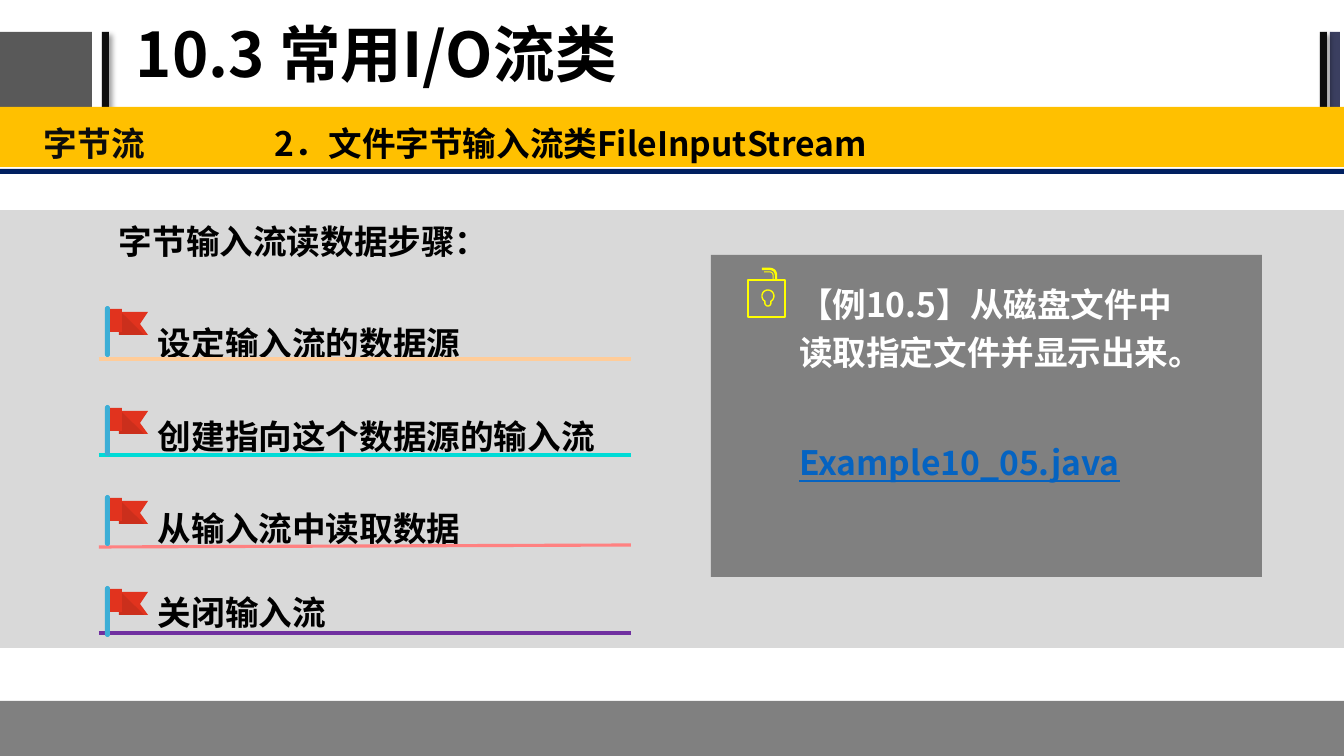
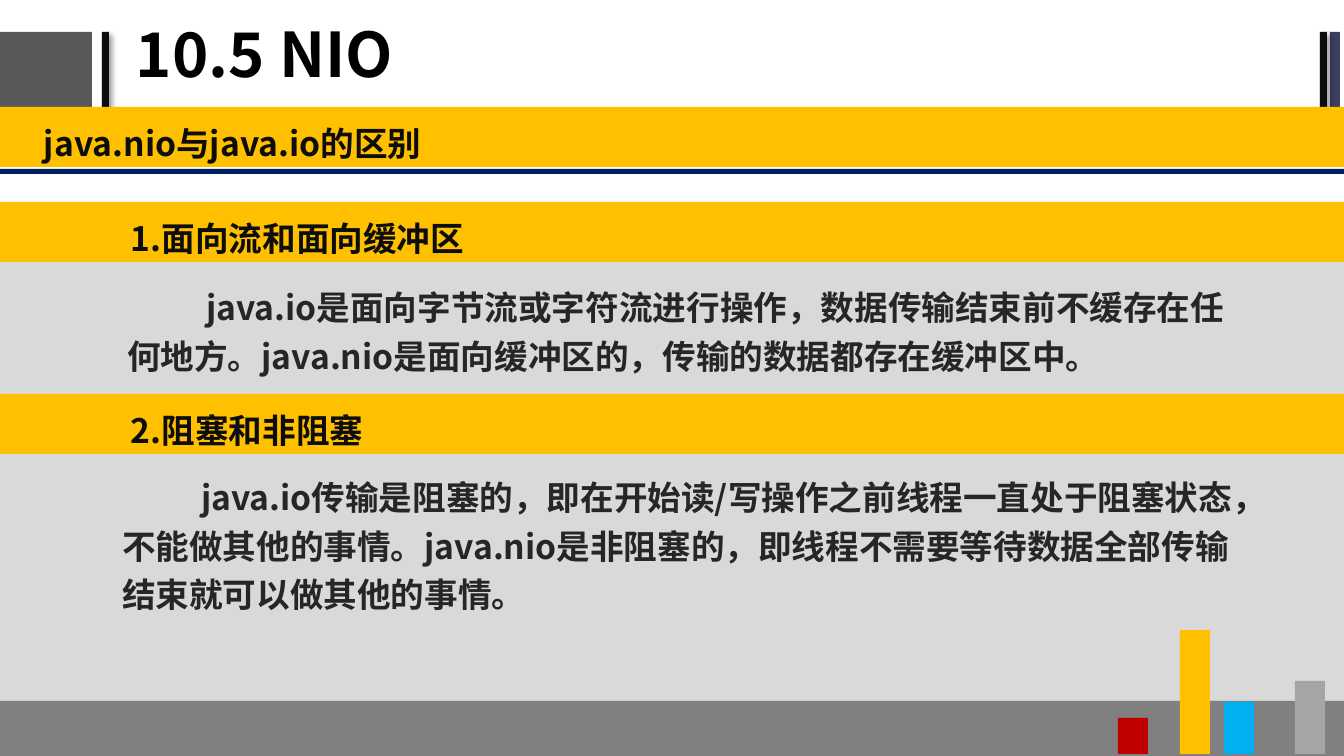
from math import cos, radians, sin

from lxml.etree import SubElement
from pptx import Presentation
from pptx.dml.color import RGBColor
from pptx.enum.shapes import MSO_CONNECTOR, MSO_SHAPE
from pptx.enum.text import MSO_ANCHOR
from pptx.oxml.ns import qn
from pptx.util import Pt

PAGE_WIDTH, PAGE_HEIGHT = 1344, 756
SCALE = 12192000 / PAGE_WIDTH
FINE = 10
FONT = "Noto Sans CJK SC"
COLORS = {
    "black": "000000",
    "ink": "0D0D0D",
    "body": "262626",
    "white": "FFFFFF",
    "block": "595959",
    "slate": "3B3F60",
    "panel": "D9D9D9",
    "footer": "808080",
    "amber": "FFC000",
    "navy": "002060",
    "link": "0563C1",
    "yellow": "FFFF00",
    "flag": "E1331E",
    "fold": "CB2F1C",
    "pole": "3CAED6",
    "peach": "FFCC99",
    "teal": "00DBD6",
    "pink": "FF8181",
    "purple": "7030A0",
    "silver": "A5A5A5",
    "sky": "00B0F0",
    "red": "C00000",
}
WIDE_INSETS = (13, 7)
NORMAL_INSETS = (10, 5)


def px(length):
    return round(length * SCALE)


def rgb(name):
    return RGBColor.from_string(COLORS[name])


def paint(shape, fill=None, line=None, width=1):
    shape.shadow.inherit = False
    if fill:
        shape.fill.solid()
        shape.fill.fore_color.rgb = rgb(fill)
    else:
        shape.fill.background()
    if line:
        shape.line.color.rgb = rgb(line)
        shape.line.width = Pt(width)
    else:
        shape.line.fill.background()


def add_block(page, left, top, width, height, fill=None, line=None,
              line_width=1, kind=MSO_SHAPE.RECTANGLE):
    block = page.shapes.add_shape(kind, px(left), px(top), px(width), px(height))
    paint(block, fill, line, line_width)
    return block


def add_shadow(shape):
    effects = shape._element.spPr.find(qn("a:effectLst"))
    shadow = SubElement(effects, qn("a:outerShdw"), blurRad=str(Pt(4)),
                        dist=str(Pt(3)), dir="2700000", algn="tl", rotWithShape="0")
    color = SubElement(shadow, qn("a:srgbClr"), val=COLORS["black"])
    SubElement(color, qn("a:alpha"), val="40000")


def add_outline(page, points, fill=None, line=None, width=1, close=True):
    fine_points = [(x * FINE, y * FINE) for x, y in points]
    builder = page.shapes.build_freeform(*fine_points[0], scale=SCALE / FINE)
    builder.add_line_segments(fine_points[1:], close=close)
    paint(builder.convert_to_shape(), fill, line, width)


def add_rule(page, start, end, color):
    rule = page.shapes.add_connector(MSO_CONNECTOR.STRAIGHT, *map(px, start + end))
    rule.line.color.rgb = rgb(color)
    rule.line.width = Pt(2.25)
    SubElement(rule._element.spPr, qn("a:effectLst"))


def add_box(page, left, top, width, height, insets=WIDE_INSETS, anchor=MSO_ANCHOR.TOP):
    box = page.shapes.add_textbox(px(left), px(top), px(width), px(height))
    frame = box.text_frame
    frame.word_wrap = True
    frame.vertical_anchor = anchor
    frame.margin_left = frame.margin_right = px(insets[0])
    frame.margin_top = frame.margin_bottom = px(insets[1])
    return frame


def format_para(para, spacing=1.2, before=0, indent=0, tab=0):
    properties = para._p.get_or_add_pPr()
    if indent:
        properties.set("indent", str(px(indent)))
    if tab:
        stops = SubElement(properties, qn("a:tabLst"))
        SubElement(stops, qn("a:tab"), pos=str(px(tab)), algn="l")
    para.line_spacing = spacing
    para.space_before = Pt(before)


def add_span(para, text, color, size=24, underline=False):
    span = para.add_run()
    span.text = text
    font = span.font
    font.name = FONT
    font.size = Pt(size)
    font.bold = True
    font.color.rgb = rgb(color)
    if underline:
        font.underline = True
    SubElement(span._r.get_or_add_rPr(), qn("a:ea"), typeface=FONT)


def add_text(page, place, text, color, size=24, spacing=1.2, indent=0,
             insets=WIDE_INSETS, anchor=MSO_ANCHOR.TOP):
    para = add_box(page, *place, insets, anchor).paragraphs[0]
    format_para(para, spacing, indent=indent)
    add_span(para, text, color, size)
    return para


def add_band(page, top, text_left, text):
    add_block(page, 0, top, PAGE_WIDTH, 60, "amber")
    return add_text(page, (text_left, top + 1, PAGE_WIDTH - text_left, 58), text, "ink")


def add_page(deck, title, panel_bottom):
    page = deck.slides.add_slide(deck.slide_layouts[6])
    add_block(page, 0, 32, 92, 76, "block")
    add_shadow(add_block(page, 102, 32, 7, 76, "ink"))
    add_block(page, 1330, 32, 10, 76, "slate")
    add_shadow(add_block(page, 1320, 32, 7, 76, "ink"))
    add_block(page, 0, 210, PAGE_WIDTH, panel_bottom - 210, "panel")
    add_text(page, (126, 2, 854, 111), title, "black", 44, 0.9,
             insets=NORMAL_INSETS, anchor=MSO_ANCHOR.MIDDLE)
    add_block(page, 0, 701, PAGE_WIDTH, PAGE_HEIGHT - 701, "footer")
    add_block(page, 0, 169, PAGE_WIDTH, 5, "navy")
    return page


def add_flag(page, top):
    add_outline(page, [(119, top + 6), (148, top + 6), (140, top + 18),
                       (148, top + 29), (119, top + 29)], "flag")
    add_outline(page, [(122, top + 7), (119, top + 7), (119, top + 29),
                       (144, top + 29)], "fold")
    add_block(page, 110, top + 3, 12, 23, "flag")
    pole = add_block(page, 105, top, 5, 51, "pole", kind=MSO_SHAPE.ROUNDED_RECTANGLE)
    pole.adjustments[0] = 0.5


def arc(center_x, center_y, radius, start, end):
    return [(center_x + radius * cos(radians(angle)),
             center_y + radius * sin(radians(angle)))
            for angle in range(start, end + 1, 10)]


def add_bulb_icon(page):
    add_block(page, 748, 280, 37, 37, line="yellow", line_width=1.75)
    for left, radius, width in ((762, 6, 1.75), (764, 3, 0.75)):
        curve = arc(770, 275, radius, 270, 360)
        add_outline(page, [(left, 275 - radius)] + curve + [(770 + radius, 279)],
                    line="yellow", width=width, close=False)
    add_outline(page, arc(768, 296, 6, 120, 420) + arc(768, 303, 3, 0, 180),
                line="yellow")


def add_steps(page):
    steps = (
        ("设定输入流的数据源", 306, 306, 359, 359, "peach"),
        ("创建指向这个数据源的输入流", 399, 405, 455, 455, "teal"),
        ("从输入流中读取数据", 491, 495, 547, 545, "pink"),
        ("关闭输入流", 575, 586, 633, 633, "purple"),
    )
    for text, text_top, flag_top, rule_start, rule_end, color in steps:
        add_text(page, (148, text_top, 483, 55), text, "black", spacing=1.3,
                 insets=NORMAL_INSETS)
        add_rule(page, (99, rule_start), (631, rule_end), color)
        add_flag(page, flag_top)


def add_example(page):
    add_block(page, 711, 255, 551, 322, "footer")
    frame = add_box(page, 786, 269, 430, 277)
    task = frame.paragraphs[0]
    format_para(task)
    add_span(task, "【例10.5】从磁盘文件中读取指定文件并显示出来。", "white")
    file_name = frame.add_paragraph()
    format_para(file_name, before=44)
    add_span(file_name, "Example10_05.java", "link", underline=True)
    add_bulb_icon(page)


def build_stream_page(deck):
    page = add_page(deck, "10.3 常用I/O流类", 648)
    heading = add_band(page, 107, 31, "字节流")
    format_para(heading, tab=231)
    add_span(heading, "\t2．文件字节输入流类FileInputStream", "black")
    add_text(page, (106, 214, 1075, 54), "字节输入流读数据步骤：", "black", spacing=1.0)
    add_steps(page)
    add_example(page)


def build_nio_page(deck):
    page = add_page(deck, "10.5 NIO", 701)
    add_band(page, 107, 31, "java.nio与java.io的区别")
    sections = (
        (202, "1.面向流和面向缓冲区", (114, 272, 1144, 81),
         "java.io是面向字节流或字符流进行操作，数据传输结束前不缓存在任何地方。"
         "java.nio是面向缓冲区的，传输的数据都存在缓冲区中。"),
        (394, "2.阻塞和非阻塞", (109, 462, 1144, 168),
         "java.io传输是阻塞的，即在开始读/写操作之前线程一直处于阻塞状态，"
         "不能做其他的事情。java.nio是非阻塞的，"
         "即线程不需要等待数据全部传输结束就可以做其他的事情。"),
    )
    for top, heading, place, text in sections:
        add_band(page, top, 118, heading)
        add_text(page, place, text, "body", indent=79)
    bars = ((1295, 681, "silver"), (1224, 702, "sky"),
            (1180, 630, "amber"), (1118, 718, "red"))
    for left, top, color in bars:
        add_block(page, left, top, 30, 754 - top, color)


def main():
    deck = Presentation()
    deck.slide_width = px(PAGE_WIDTH)
    deck.slide_height = px(PAGE_HEIGHT)
    build_stream_page(deck)
    build_nio_page(deck)
    deck.save("out.pptx")


if __name__ == "__main__":
    main()
